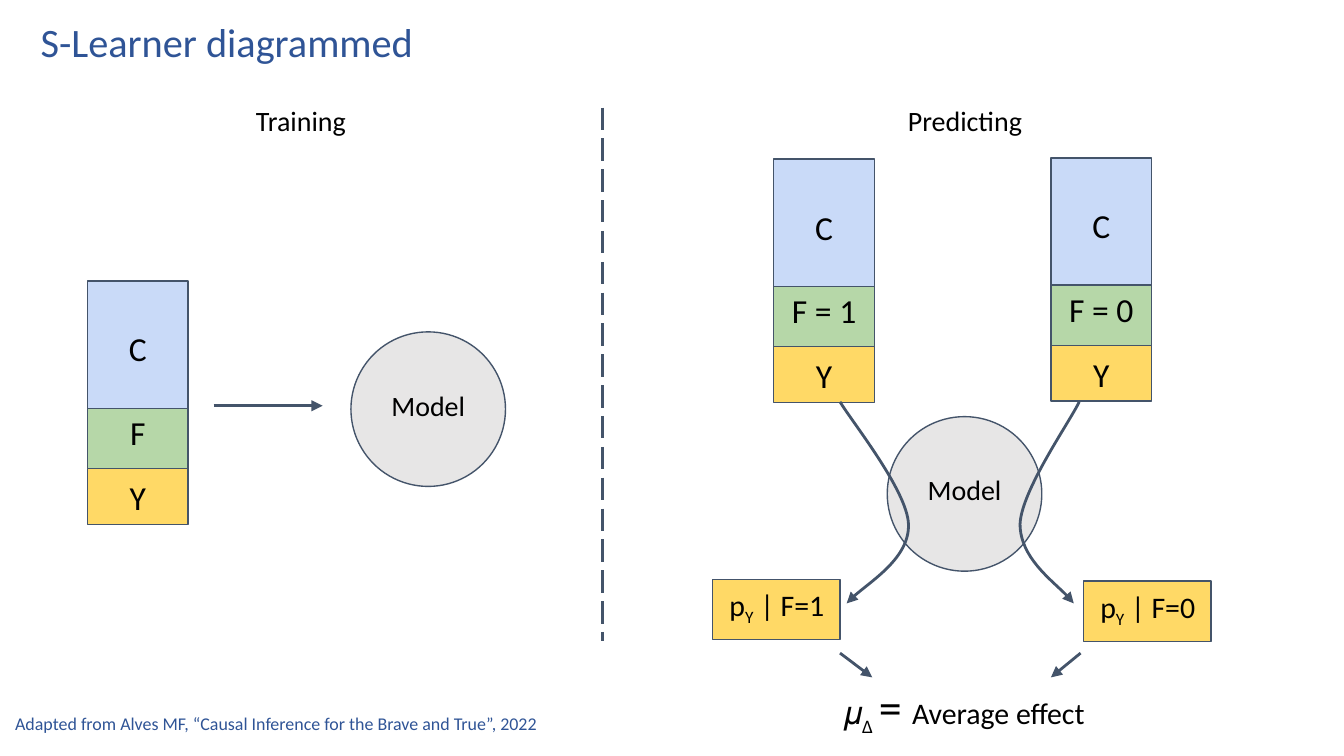
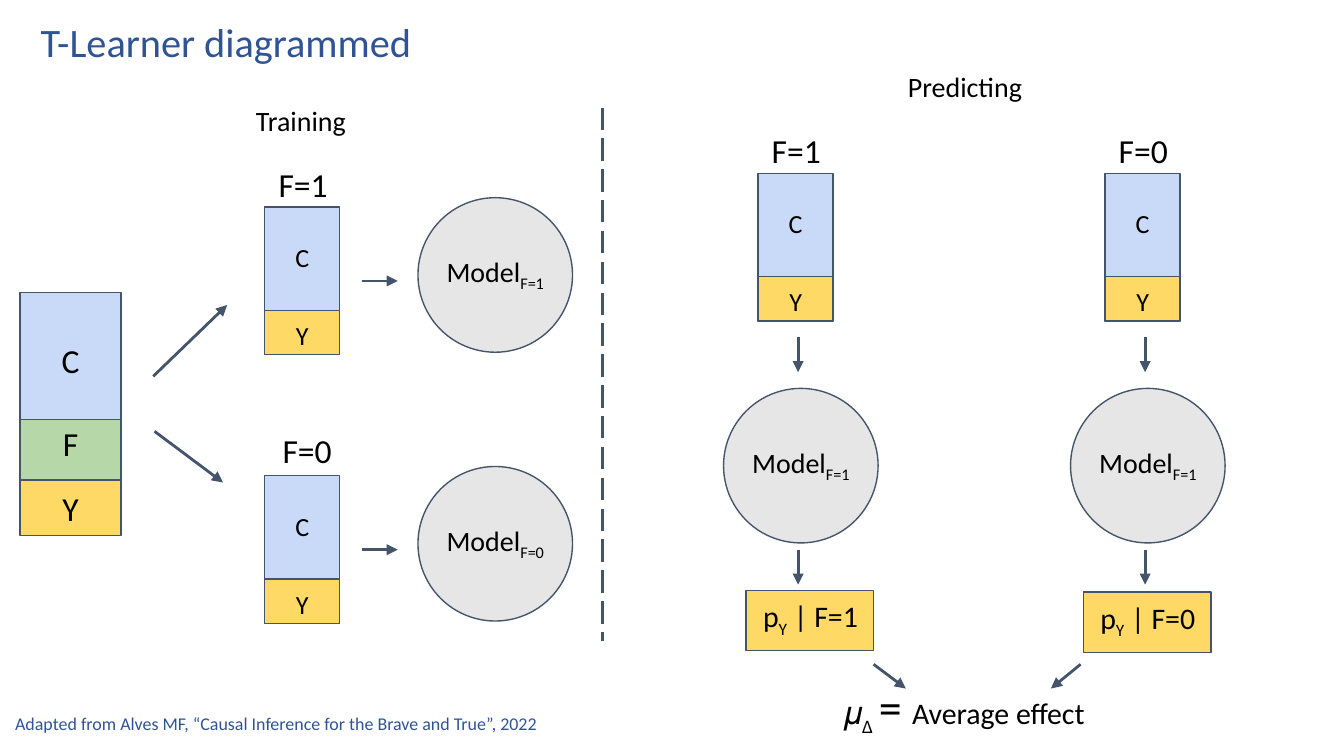
from lxml.etree import SubElement
from pptx import Presentation
from pptx.dml.color import RGBColor
from pptx.enum.dml import MSO_LINE
from pptx.enum.shapes import MSO_CONNECTOR, MSO_SHAPE
from pptx.enum.text import MSO_ANCHOR, PP_ALIGN
from pptx.oxml.ns import qn
from pptx.util import Pt

COLORS = {
    "heading": "2F5496",
    "text": "000000",
    "line": "44546A",
    "covariates": "C9DAF8",
    "factor": "B6D7A8",
    "outcome": "FFD966",
    "model": "E7E6E6",
}
CREDIT = "Adapted from Alves MF, “Causal Inference for the Brave and True”, 2022"
FONT = "Calibri"
INSET = 5.25
LABEL_H = 36.7
MODEL_D = 82.8


def rgb(name):
    return RGBColor.from_string(COLORS[name])


class Deck:
    def __init__(self):
        self.prs = Presentation()
        self.prs.slide_width, self.prs.slide_height = Pt(720), Pt(405)
        self.s = None

    def new_slide(self, title, predicting_y):
        self.s = self.prs.slides.add_slide(self.prs.slide_layouts[6])
        self.heading(title, 16.6, 10.8, 667.4, 43.9, 21.6)
        self.heading(CREDIT, 2.9, 380.9, 340.6, 23, 9.6)
        self.line(322.6, 57.6, 322.6, 343.4, arrow=False)
        self.label(94.3, 48.2, 133.9, "Training", 15)
        self.label(450, predicting_y, 133.9, "Predicting", 15)

    def text(self, x, y, w, h, runs, size, color="text", centered=True):
        sp = self.s.shapes.add_textbox(Pt(x), Pt(y), Pt(w), Pt(h))
        tf = sp.text_frame
        tf.word_wrap = True
        tf.margin_left = tf.margin_right = Pt(INSET)
        tf.margin_top = tf.margin_bottom = Pt(INSET)
        tf.vertical_anchor = MSO_ANCHOR.MIDDLE if centered else MSO_ANCHOR.TOP
        p = tf.paragraphs[0]
        p.alignment = PP_ALIGN.CENTER if centered else PP_ALIGN.LEFT
        p.line_spacing = 0.7
        p.font.name = FONT
        p.font.size = Pt(size)
        p.font.color.rgb = rgb(color)
        for text, run_size, subscript in runs:
            r = p.add_run()
            r.text = text
            if run_size:
                r.font.size = Pt(run_size)
            if subscript:
                r._r.get_or_add_rPr().set("baseline", "-25000")

    def heading(self, text, x, y, w, h, size):
        self.text(x, y, w, h, [(text, None, False)], size, "heading", False)

    def label(self, x, y, w, text, size, subscript="", after="", h=LABEL_H):
        parts = [(text, None, False), (subscript, None, True), (after, None, False)]
        self.text(x, y, w, h, [part for part in parts if part[0]], size)

    def shape(self, kind, x, y, w, h, fill):
        sp = self.s.shapes.add_shape(kind, Pt(x), Pt(y), Pt(w), Pt(h))
        sp.shadow.inherit = False
        sp.fill.solid()
        sp.fill.fore_color.rgb = rgb(fill)
        sp.line.color.rgb = rgb("line")
        sp.line.width = Pt(0.75)

    def rect(self, x, y, w, h, fill):
        self.shape(MSO_SHAPE.RECTANGLE, x, y, w, h, fill)

    def stroke(self, sp, arrow):
        sp.line.color.rgb = rgb("line")
        sp.line.width = Pt(1.5)
        if arrow:
            ln = sp._element.spPr.find(qn("a:ln"))
            SubElement(ln, qn("a:tailEnd"), type="triangle")

    def line(self, x1, y1, x2, y2, arrow=True):
        c = self.s.shapes.add_connector(
            MSO_CONNECTOR.STRAIGHT, Pt(x1), Pt(y1), Pt(x2), Pt(y2))
        self.stroke(c, arrow)
        if not arrow:
            c.line.dash_style = MSO_LINE.LONG_DASH
        SubElement(c._element.spPr, qn("a:effectLst"))

    def curve(self, start, controls):
        fb = self.s.shapes.build_freeform(Pt(start[0]), Pt(start[1]))
        fb.add_line_segments([(Pt(x), Pt(y)) for x, y in controls], close=False)
        sp = fb.convert_to_shape()
        sp.shadow.inherit = False
        sp.fill.background()
        self.stroke(sp, True)
        segments = list(sp._element.iter(qn("a:lnTo")))
        for i in range(0, len(segments), 3):
            bezier = SubElement(segments[i].getparent(), qn("a:cubicBezTo"))
            for segment in segments[i:i + 3]:
                bezier.append(segment[0])
                segment.getparent().remove(segment)

    def full_stack(self, x, y, factor):
        w = 54
        self.rect(x, y, w, 113, "covariates")
        self.rect(x, y + 97.9, w, 32.4, "outcome")
        self.rect(x, y + 68.1, w, 32.4, "factor")
        for text, dy in (("C", 20.4), (factor, 65.2), ("Y", 100)):
            self.label(x, y + dy, w, text, 18)

    def split_stack(self, x, y):
        w = 40.3
        self.rect(x, y, w, 79.2, "covariates")
        self.rect(x, y + 55.4, w, 23.8, "outcome")
        for text, dy in (("C", 15.1), ("Y", 56.9)):
            self.label(x, y + dy, w, text, 14, h=27.4)

    def model(self, x, y, subscript=""):
        self.shape(MSO_SHAPE.OVAL, x, y, MODEL_D, MODEL_D, "model")
        self.label(x - 14, y + 23, 110.9, "Model", 15, subscript)

    def effect(self, left, top):
        right = 580.3
        for x, y, factor in ((left, top, "1"), (right, top + 0.9, "0")):
            self.rect(x, y, 68.4, 32.4, "outcome")
            self.label(x - 5, y - 3, 79.2, "p", 16, "Y", f" | F={factor}")
        y1, y2 = top + 39.6, top + 52.6
        self.line(left + 68.4, y1, left + 85.7, y2)
        self.line(right - 1.4, y1, right - 17.3, y2)
        self.text(368.6, 362.9, 295.9, LABEL_H, [
            ("𝜇", 17.6, False), ("Δ", 17.6, True), (" ", 24.6, True),
            ("= ", 24.6, False), ("Average effect", 16, False)], 16)


def s_learner(deck):
    deck.new_slide("S-Learner diagrammed", 48.2)
    deck.full_stack(46.8, 150.6, "F")
    deck.line(114.5, 217.4, 172.8, 217.4)
    deck.model(188, 177.8)
    deck.full_stack(414.5, 85.3, "F = 1")
    deck.full_stack(563, 84.6, "F = 0")
    deck.model(475.3, 223.2)
    deck.curve((450, 215.3), [(456.5, 226.1), (486, 262.8), (486.7, 280.8),
                              (487.4, 298.8), (459.4, 316.1), (453.6, 323.3)])
    deck.curve((578.2, 215.3), [(573.1, 226.1), (547.2, 262.8), (546.5, 280.8),
                                (546.5, 298.8), (570.2, 316.1), (575.3, 323.3)])
    deck.effect(381.6, 310.3)


def t_learner(deck):
    deck.new_slide("T-Learner diagrammed", 30.2)
    deck.full_stack(10.8, 156.7, "F")
    deck.line(82.1, 201.6, 121.7, 163.4)
    deck.line(82.8, 231.1, 119.5, 258.5)
    for y, factor, label_x, label_y in ((110.9, "F=1", 135.4, 82.8),
                                        (254.9, "F=0", 137.5, 225.4)):
        deck.split_stack(141.8, y)
        deck.label(label_x, label_y, 54, factor, 18)
        deck.line(193.7, y + 39.6, 213.1, y + 39.6)
        deck.model(223.9, y - 5, factor)
    for x, factor in ((406.1, "F=1"), (592, "F=0")):
        deck.split_stack(x, 92.9)
        deck.label(x - 6.5, 64.8, 54, factor, 18)
        deck.model(x - 18.5, 208.1, "F=1")
        for y in (180.7, 294.5):
            deck.line(x + 21.5, y, x + 21.5, y + 18.7)
    deck.effect(399.6, 316.3)


def main():
    deck = Deck()
    s_learner(deck)
    t_learner(deck)
    deck.prs.save("out.pptx")


if __name__ == "__main__":
    main()
